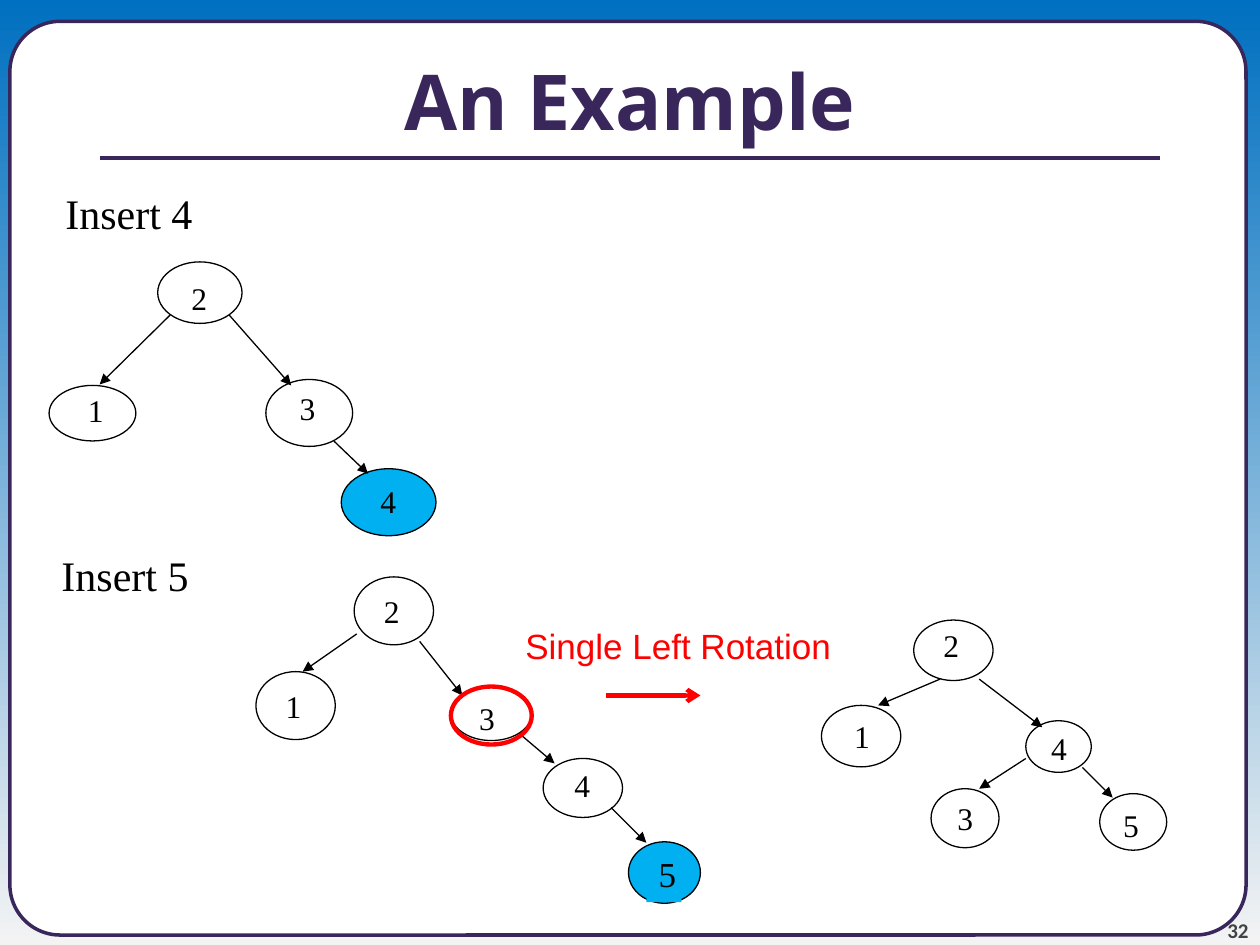
from dataclasses import dataclass
from pptx import Presentation
from pptx.dml.color import RGBColor
from pptx.enum.shapes import MSO_CONNECTOR, MSO_SHAPE
from pptx.enum.text import MSO_ANCHOR, PP_ALIGN
from pptx.oxml.ns import qn
from pptx.util import Cm, Pt
from lxml.etree import SubElement


@dataclass(frozen=True)
class Theme:
    """Hold the colours, fonts and type sizes of the slide."""
    sky: str = "0070C0"
    mist: str = "F3F3F3"
    plum: str = "39275B"
    grey: str = "424242"
    black: str = "000000"
    white: str = "FFFFFF"
    red: str = "FF0000"
    blue: str = "00B0F0"
    head: str = "Open Sans"
    serif: str = "Times New Roman"
    sans: str = "Arial"
    foot: str = "Calibri"
    title: int = 44
    step: int = 24
    note: int = 20
    key: int = 18
    page: int = 12
    thin: float = 0.75
    bold: float = 2.5


LOOK = Theme()

FIRST = [
    ("2", (3.18, 5.28, 1.7, 1.24), (3.61, 5.51, 0.58)),
    ("1", (0.99, 7.77, 1.75, 1.12), (1.52, 7.75, 0.97)),
    ("3", (5.36, 7.65, 1.75, 1.35), (5.79, 7.72, 1.55)),
    ("4", (6.88, 9.45, 1.91, 1.35), (7.42, 9.6, 0.69), LOOK.blue),
]
FIRST_EDGES = [
    (3.43, 6.35, 2.01, 7.75),
    (4.62, 6.35, 5.87, 7.77),
    (6.73, 8.89, 7.42, 9.55),
]
SECOND = [
    ("2", (7.14, 11.63, 1.6, 1.37), (7.49, 11.81, 2.84)),
    ("1", (5.16, 13.54, 1.6, 1.37), (5.51, 13.72, 1.78)),
    ("3", (9.09, 13.84, 1.63, 1.09), (9.41, 13.97, 1.67)),
    ("4", (10.95, 15.29, 1.6, 1.19), (11.33, 15.32, 0.86)),
    ("5", (12.67, 16.97, 1.45, 1.24), (13.03, 17.07, 0.71), LOOK.blue, LOOK.note),
]
SECOND_EDGES = [
    (7.19, 12.78, 6.1, 13.54),
    (8.46, 12.93, 9.32, 14.02),
    (10.46, 14.78, 11.18, 15.39),
    (12.32, 16.28, 13.03, 16.99),
]
THIRD = [
    ("2", (18.42, 12.5, 1.6, 1.22), (18.77, 12.5, 2.84)),
    ("1", (16.56, 14.22, 1.6, 1.24), (16.97, 14.33, 1.78)),
    ("4", (20.68, 14.53, 1.32, 1.04), (20.94, 14.57, 1.1)),
    ("3", (18.77, 15.9, 1.37, 1.19), (19.05, 15.98, 1.37)),
    ("5", (22.17, 16, 1.35, 1.14), (22.39, 16.13, 2)),
]
THIRD_EDGES = [
    (18.95, 13.69, 17.7, 14.22),
    (19.74, 13.69, 21.01, 14.66),
    (20.68, 15.29, 19.74, 15.9),
    (21.82, 15.47, 22.43, 16.08),
]


def tint(code):
    """Turn a hex code into a colour."""
    return RGBColor.from_string(code)


def paint(slide):
    """Fill the background from blue down to pale grey."""
    fill = slide.background.fill
    fill.gradient()
    fill.gradient_angle = 270
    for stop, place, code in zip(fill.gradient_stops, (0, 1), (LOOK.sky, LOOK.mist)):
        stop.position = place
        stop.color.rgb = tint(code)


def form(slide, kind, box, line, width, fill=None):
    """Draw an outlined shape, hollow unless a fill is given."""
    shape = slide.shapes.add_shape(kind, *map(Cm, box))
    shape.shadow.inherit = False
    shape.line.color.rgb = tint(line)
    shape.line.width = Pt(width)
    if fill:
        shape.fill.solid()
        shape.fill.fore_color.rgb = tint(fill)
    else:
        shape.fill.background()
    return shape


def text(slide, words, box, size, face=LOOK.serif, code=LOOK.black,
         bold=False, side=PP_ALIGN.LEFT, wrap=True):
    """Place one line of text and return its box."""
    label = slide.shapes.add_textbox(*map(Cm, box))
    frame = label.text_frame
    frame.word_wrap = wrap
    para = frame.paragraphs[0]
    para.alignment = side
    run = para.add_run()
    run.text = words
    font = run.font
    font.name, font.size, font.bold = face, Pt(size), bold
    font.color.rgb = tint(code)
    return label


def link(slide, ends, code=LOOK.black, width=LOOK.thin, tip=None):
    """Draw a straight line with an optional arrowhead."""
    line = slide.shapes.add_connector(MSO_CONNECTOR.STRAIGHT, *map(Cm, ends))
    line.line.color.rgb = tint(code)
    line.line.width = Pt(width)
    if tip:
        SubElement(line.line._get_or_add_ln(), qn("a:tailEnd"), type=tip)
    SubElement(line._element.spPr, qn("a:effectLst"))


def node(slide, key, oval, spot, fill=None, size=LOOK.key):
    """Draw a tree node and its key."""
    form(slide, MSO_SHAPE.OVAL, oval, LOOK.black, LOOK.thin, fill)
    label = text(slide, key, (*spot, 1.02), size)
    if size != LOOK.key:
        label.height = Cm(1.12)
        label.fill.solid()
        label.fill.fore_color.rgb = tint(fill)


def tree(slide, nodes, edges):
    """Draw the nodes of a tree and the arrows between them."""
    for item in nodes:
        node(slide, *item)
    for ends in edges:
        link(slide, ends, tip="triangle")


def frame(slide):
    """Draw the panel, page number, rule and title."""
    panel = form(slide, MSO_SHAPE.ROUNDED_RECTANGLE, (0.2, 0.43, 24.92, 18.42),
                 LOOK.plum, 2, LOOK.white)
    panel.adjustments[0] = 0.055
    page = text(slide, "32", (23.06, 17.98, 2.11, 1.02), LOOK.page, LOOK.foot,
                LOOK.grey, True, PP_ALIGN.RIGHT).text_frame
    page.margin_left = page.margin_right = page.margin_top = page.margin_bottom = 0
    page.vertical_anchor = MSO_ANCHOR.BOTTOM
    link(slide, (2.01, 3.18, 23.39, 3.18), LOOK.plum, 2.25)
    title = text(slide, "An Example", (0, 0.43, 25.4, 3.18), LOOK.title, LOOK.head,
                 LOOK.plum, True, PP_ALIGN.CENTER)
    title.text_frame.vertical_anchor = MSO_ANCHOR.MIDDLE


def turn(slide):
    """Mark the pivot and name the rotation."""
    form(slide, MSO_SHAPE.OVAL, (9.09, 13.84, 1.63, 1.17), LOOK.red, LOOK.bold)
    text(slide, "Single Left Rotation", (10.34, 12.47, 6.96, 1.12), LOOK.note,
         LOOK.sans, LOOK.red, wrap=False)
    link(slide, (12.22, 14.02, 14.12, 14.02), LOOK.red, LOOK.bold, "arrow")


def main():
    """Build the slide and save it."""
    deck = Presentation()
    deck.slide_width, deck.slide_height = Cm(25.4), Cm(19.05)
    slide = deck.slides.add_slide(deck.slide_layouts[6])
    paint(slide)
    frame(slide)
    text(slide, "Insert 4", (1.07, 3.66, 3.38, 1.27), LOOK.step)
    tree(slide, FIRST, FIRST_EDGES)
    text(slide, "Insert 5", (0.99, 10.95, 3.38, 1.27), LOOK.step)
    tree(slide, SECOND, SECOND_EDGES)
    turn(slide)
    tree(slide, THIRD, THIRD_EDGES)
    deck.save("out.pptx")


if __name__ == "__main__":
    main()
